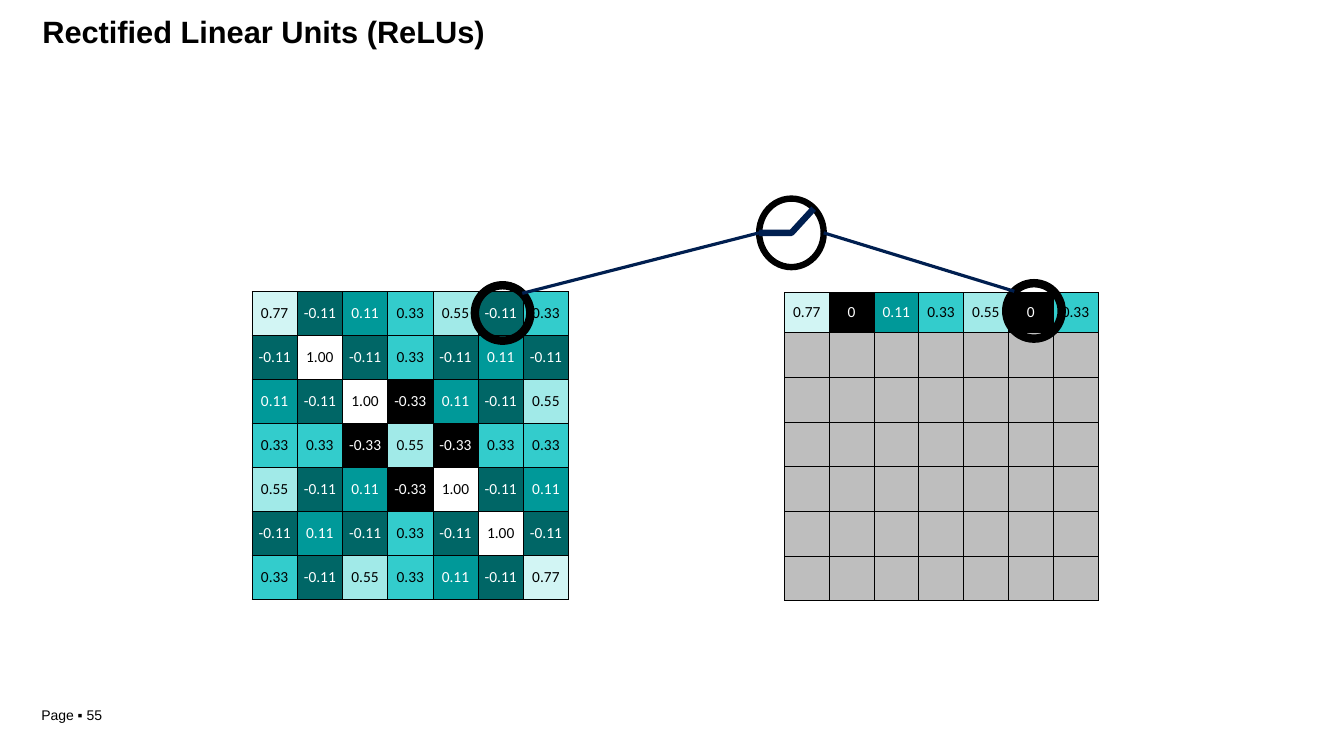
from lxml.etree import SubElement
from pptx import Presentation
from pptx.dml.color import RGBColor
from pptx.enum.shapes import MSO_CONNECTOR, MSO_SHAPE
from pptx.enum.text import MSO_ANCHOR, PP_ALIGN
from pptx.oxml import parse_xml
from pptx.oxml.ns import nsdecls, qn
from pptx.util import Inches, Pt

COLORS = {"black": "000000", "white": "FFFFFF", "navy": "001F50", "empty": "BEBEBE"}
# Cell value -> (fill, text colour)
CELL_COLORS = {
    "0.77": ("D2F5F4", COLORS["black"]),
    "0.55": ("A1EAE8", COLORS["black"]),
    "0.33": ("33CCCC", COLORS["black"]),
    "0.11": ("009999", COLORS["white"]),
    "-0.11": ("006666", COLORS["white"]),
    "-0.33": (COLORS["black"], COLORS["white"]),
    "0": (COLORS["black"], COLORS["white"]),
    "1.00": (COLORS["white"], COLORS["black"]),
    "": (COLORS["empty"], COLORS["black"]),
}
FORMATS = {
    "title": {"name": "Arial", "size": Pt(22), "bold": True},
    "page": {"name": "Arial", "size": Pt(10), "bold": False},
    "cell": {"name": "Calibri", "size": Pt(11), "bold": False},
}
FEATURE_MAP = [row.split() for row in (
    "0.77 -0.11 0.11 0.33 0.55 -0.11 0.33",
    "-0.11 1.00 -0.11 0.33 -0.11 0.11 -0.11",
    "0.11 -0.11 1.00 -0.33 0.11 -0.11 0.55",
    "0.33 0.33 -0.33 0.55 -0.33 0.33 0.33",
    "0.55 -0.11 0.11 -0.33 1.00 -0.11 0.11",
    "-0.11 0.11 -0.11 0.33 -0.11 1.00 -0.11",
    "0.33 -0.11 0.55 0.33 0.11 -0.11 0.77",
)]


class SlideBuilder:
    def __init__(self, presentation):
        self.slide = presentation.slides.add_slide(presentation.slide_layouts[5])
        self.shapes = self.slide.shapes

    def set_text(self, frame, text, style, color=COLORS["black"], align=PP_ALIGN.LEFT):
        paragraph = frame.paragraphs[0]
        paragraph.alignment = align
        run = paragraph.add_run()
        run.text = text
        for name, value in FORMATS[style].items():
            setattr(run.font, name, value)
        run.font.color.rgb = RGBColor.from_string(color)

    def fill_box(self, shape, box, text, style, top_inset=0.0):
        shape.left, shape.top, shape.width, shape.height = map(Inches, box)
        frame = shape.text_frame
        settings = {"word_wrap": True, "vertical_anchor": MSO_ANCHOR.TOP,
                    "margin_left": 0, "margin_right": 0,
                    "margin_top": Inches(top_inset), "margin_bottom": 0}
        for name, value in settings.items():
            setattr(frame, name, value)
        self.set_text(frame, text, style)

    def title(self, box, text):
        self.fill_box(self.shapes.title, box, text, "title", 0.01)

    def text(self, box, text, style):
        shape = self.shapes.add_textbox(*map(Inches, box))
        self.fill_box(shape, box, text, style)

    def border(self, cell):
        properties = cell._tc.get_or_add_tcPr()
        for index, side in enumerate(("lnL", "lnR", "lnT", "lnB")):
            line = parse_xml(f'<a:{side} {nsdecls("a")} w="{Pt(0.5)}"><a:solidFill>'
                             f'<a:srgbClr val="{COLORS["black"]}"/></a:solidFill></a:{side}>')
            properties.insert(index, line)

    def grid(self, left, top, width, row_heights, values, top_inset):
        row_count, column_count = len(values), len(values[0])
        table = self.shapes.add_table(
            row_count, column_count, Inches(left), Inches(top),
            Inches(width), Inches(sum(row_heights))).table
        table.first_row = table.horz_banding = False
        for column in table.columns:
            column.width = Inches(width / column_count)
        for row, height, row_values in zip(table.rows, row_heights, values):
            row.height = Inches(height)
            for cell, value in zip(row.cells, row_values):
                fill, color = CELL_COLORS[value]
                cell.margin_left = cell.margin_right = cell.margin_bottom = 0
                cell.margin_top = Inches(top_inset)
                cell.fill.solid()
                cell.fill.fore_color.rgb = RGBColor.from_string(fill)
                self.border(cell)
                if value:
                    self.set_text(cell.text_frame, value, "cell", color, PP_ALIGN.CENTER)

    def outline(self, shape, color, weight):
        shape.line.color.rgb = RGBColor.from_string(COLORS[color])
        shape.line.width = Pt(weight)

    def ring(self, box, weight):
        shape = self.shapes.add_shape(MSO_SHAPE.OVAL, *map(Inches, box))
        shape.shadow.inherit = False
        shape.fill.background()
        self.outline(shape, "black", weight)

    def polyline(self, points, color, weight):
        start, *rest = [tuple(map(Inches, point)) for point in points]
        builder = self.shapes.build_freeform(*start)
        builder.add_line_segments(rest, close=False)
        shape = builder.convert_to_shape()
        shape.shadow.inherit = False
        shape.fill.background()
        self.outline(shape, color, weight)

    def line(self, start, end, color, weight):
        connector = self.shapes.add_connector(
            MSO_CONNECTOR.STRAIGHT, *map(Inches, start + end))
        self.outline(connector, color, weight)
        SubElement(connector._element.spPr, qn("a:effectLst"))


def main():
    presentation = Presentation()
    presentation.slide_width = Inches(13.33)
    presentation.slide_height = Inches(7.5)
    builder = SlideBuilder(presentation)

    # Title and page number
    builder.title((0.42, 0.12, 4.43, 0.38), "Rectified Linear Units (ReLUs)")
    builder.text((0.41, 7.01, 0.67, 0.17), "Page ▪ 55", "page")

    # Output map: first row rectified, the rest still empty
    rectified = ["0" if value.startswith("-") else value for value in FEATURE_MAP[0]]
    output_map = [rectified] + [[""] * 7 for _ in range(6)]
    builder.grid(7.78, 2.9, 3.11, [0.4] + [2.66 / 6] * 6, output_map, 0.1)

    # Input feature map
    builder.grid(2.5, 2.89, 3.14, [3.06 / 7] * 7, FEATURE_MAP, 0.12)

    # Rings around the input cell, the output cell and the ReLU function
    builder.ring((4.71, 2.83, 0.55, 0.55), 6)
    builder.ring((9.98, 2.81, 0.55, 0.55), 6)
    builder.ring((7.53, 1.97, 0.64, 0.68), 4.56)

    # ReLU curve and the lines from input to output
    builder.polyline([(7.53, 2.31), (7.85, 2.31), (8.07, 2.07)], "navy", 4.56)
    builder.line((5.18, 2.91), (7.53, 2.31), "navy", 2.28)
    builder.line((8.17, 2.31), (10.06, 2.89), "navy", 2.28)

    presentation.save("out.pptx")


if __name__ == "__main__":
    main()
